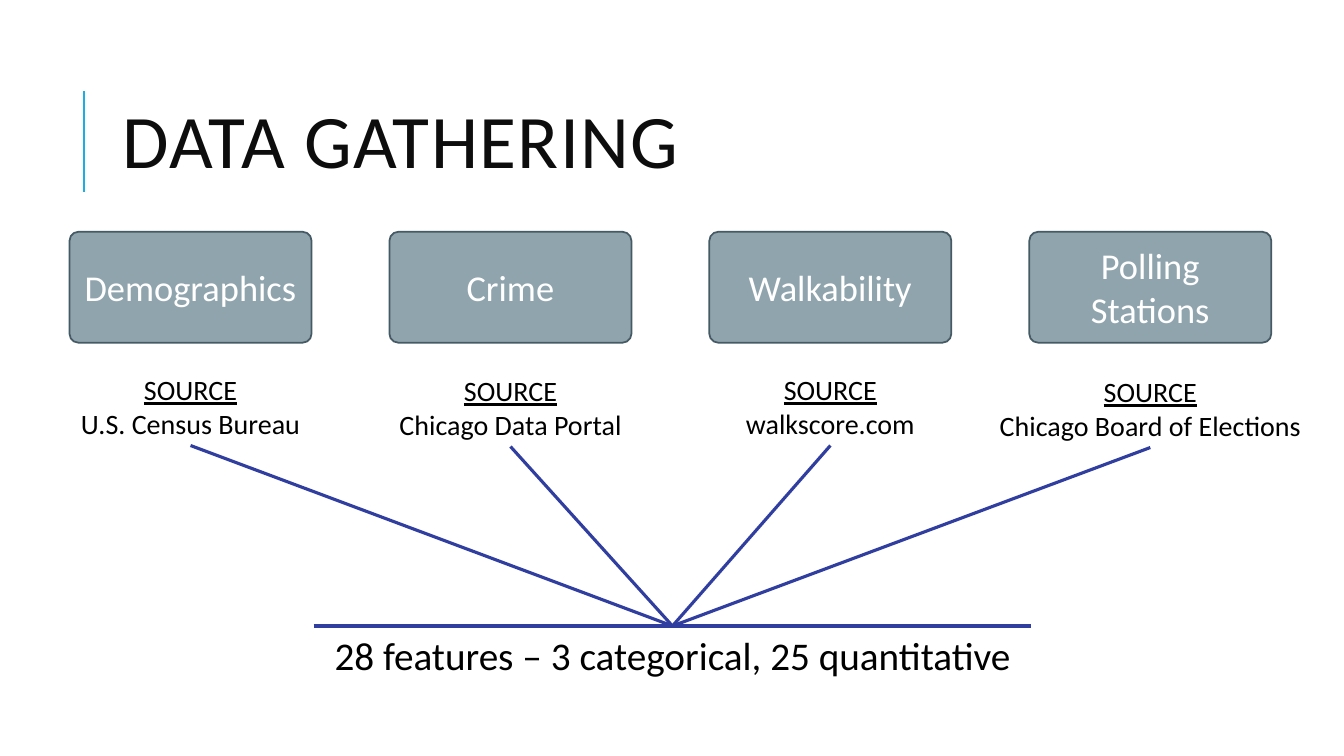
from pptx import Presentation
from pptx.dml.color import RGBColor
from pptx.enum.shapes import MSO_CONNECTOR, MSO_SHAPE
from pptx.enum.text import MSO_ANCHOR, MSO_AUTO_SIZE, PP_ALIGN
from pptx.oxml.ns import qn
from pptx.util import Inches, Pt

STRAIGHT = MSO_CONNECTOR.STRAIGHT
ROUNDED = MSO_SHAPE.ROUNDED_RECTANGLE
MIDDLE = MSO_ANCHOR.MIDDLE
GROW = MSO_AUTO_SIZE.SHAPE_TO_FIT_TEXT
CENTER, LEFT = PP_ALIGN.CENTER, PP_ALIGN.LEFT
BOTTOM_SITE, TOP_SITE = 2, 0


def write(paragraph, text, size, color, align=CENTER):
    paragraph.alignment = align
    run = paragraph.add_run()
    run.text = text
    run.font.name = "Calibri"
    run.font.size = Pt(size)
    run.font.color.rgb = RGBColor.from_string(color)
    return run


def draw_line(x1, y1, x2, y2, color, width):
    line = slide.shapes.add_connector(
        STRAIGHT, Inches(x1), Inches(y1), Inches(x2), Inches(y2))
    line.line.color.rgb = RGBColor.from_string(color)
    line.line.width = Pt(width)
    line._element.spPr.append(line._element.makeelement(qn("a:effectLst"), {}))
    return line


prs = Presentation()
prs.slide_width, prs.slide_height = Inches(13.33), Inches(7.5)
slide = prs.slides.add_slide(prs.slide_layouts[6])

draw_line(0.83, 1.9, 0.83, 0.9, "1CADE4", 1.5)

title = slide.shapes.add_textbox(Inches(1.12), Inches(0.64), Inches(10.63), Inches(1.64))
title.text_frame.word_wrap = True
title.text_frame.vertical_anchor = MIDDLE
heading = title.text_frame.paragraphs[0]
heading.line_spacing = 0.8
heading_run = write(heading, "DATA GATHERING", 54, "0D0D0D", LEFT)
heading_run.font._element.set("spc", "100")

summary = slide.shapes.add_textbox(Inches(2.74), Inches(6.21), Inches(7.86), Inches(0.57))
summary.text_frame.word_wrap = True
summary.text_frame.auto_size = GROW
write(summary.text_frame.paragraphs[0],
      "28 features – 3 categorical, 25 quantitative", 28, "000000")

topics = [
    ("Demographics", "U.S. Census Bureau", 3.65, 2.74),
    ("Crime", "Chicago Data Portal", 3.66, 3.71),
    ("Walkability", "walkscore.com", 3.65, 2.76),
    ("Polling Stations", "Chicago Board of Elections", 3.67, 3.66),
]
for index, (topic, origin, source_top, source_width) in enumerate(topics):
    center = 1.89 + 3.173 * index

    card = slide.shapes.add_shape(
        ROUNDED, Inches(center - 1.2), Inches(2.3), Inches(2.4), Inches(1.1))
    card.adjustments[0] = 0.08
    card.shadow.inherit = False
    card.fill.solid()
    card.fill.fore_color.rgb = RGBColor.from_string("90A4AE")
    card.line.color.rgb = RGBColor.from_string("455A64")
    card.line.width = Pt(1.25)
    card.text_frame.word_wrap = True
    card.text_frame.vertical_anchor = MIDDLE
    write(card.text_frame.paragraphs[0], topic, 26, "FFFFFF")

    source = slide.shapes.add_textbox(
        Inches(center - source_width / 2), Inches(source_top),
        Inches(source_width), Inches(0.77))
    source.text_frame.word_wrap = True
    source.text_frame.auto_size = GROW
    label = write(source.text_frame.paragraphs[0], "SOURCE", 20, "000000")
    label.font.underline = True
    write(source.text_frame.add_paragraph(), origin, 20, "000000")

    feed = draw_line(center, source_top + 0.77, 6.67, 6.21, "303F9F", 2.25)
    feed.begin_connect(source, BOTTOM_SITE)
    feed.end_connect(summary, TOP_SITE)

draw_line(3.11, 6.21, 10.23, 6.21, "303F9F", 2.25)

prs.save("out.pptx")
